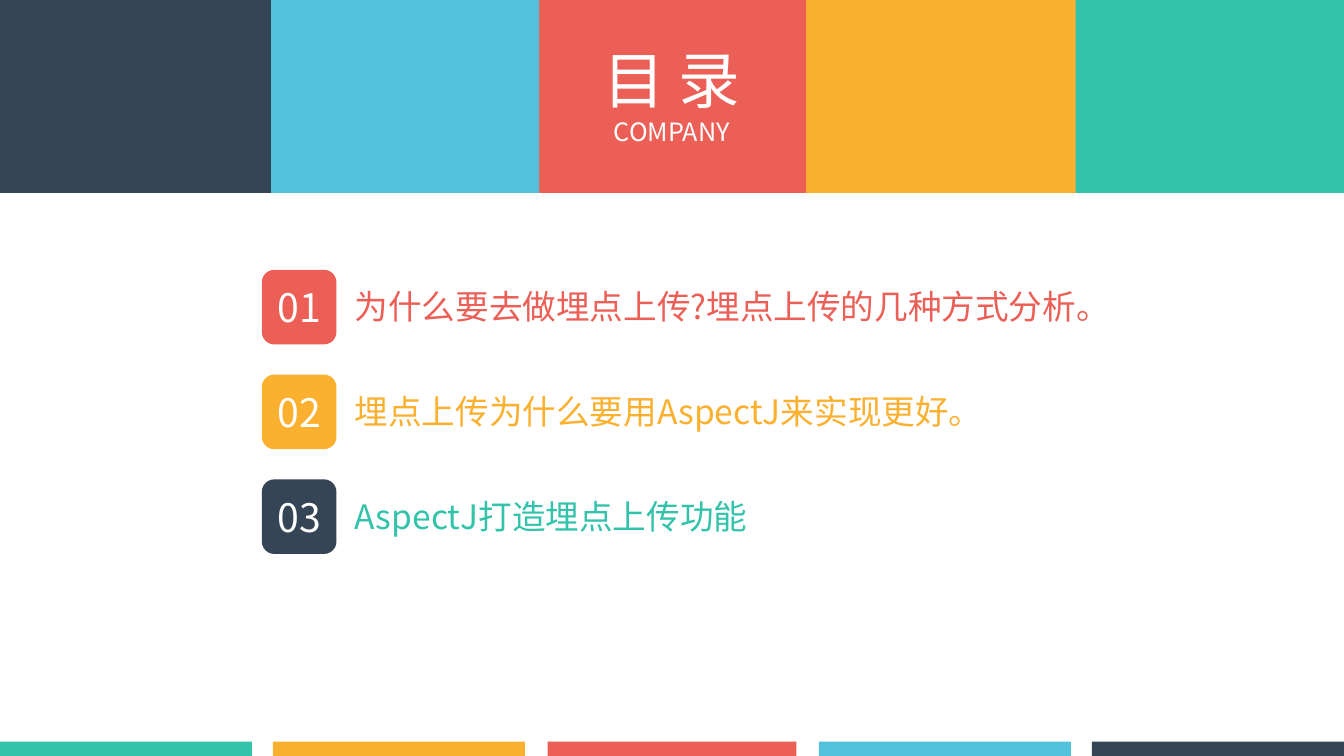
from dataclasses import dataclass

from lxml import etree
from pptx import Presentation
from pptx.dml.color import RGBColor
from pptx.enum.shapes import MSO_SHAPE
from pptx.enum.text import MSO_ANCHOR, PP_ALIGN
from pptx.oxml.ns import qn
from pptx.util import Cm, Pt

RECT, ROUNDED = MSO_SHAPE.RECTANGLE, MSO_SHAPE.ROUNDED_RECTANGLE
LEFT, CENTER = PP_ALIGN.LEFT, PP_ALIGN.CENTER
TOP, MIDDLE = MSO_ANCHOR.TOP, MSO_ANCHOR.MIDDLE


@dataclass(frozen=True)
class Theme:
    font: str = "Noto Sans CJK SC"
    white: str = "FFFFFF"
    navy: str = "364555"
    blue: str = "52C2DC"
    red: str = "EB5F56"
    amber: str = "FCB030"
    green: str = "33C3AB"
    title: int = 44
    subtitle: int = 18
    number: int = 28
    entry: int = 24


class SlideBuilder:
    def __init__(self, slide, theme):
        self.slide, self.theme = slide, theme

    def block(self, kind, left, top, width, height, color):
        block = self.slide.shapes.add_shape(
            kind, Cm(left), Cm(top), Cm(width), Cm(height))
        block.shadow.inherit = False
        block.fill.solid()
        block.fill.fore_color.rgb = RGBColor.from_string(color)
        block.line.fill.background()
        return block

    def set_text(self, frame, lines, color, align=LEFT, anchor=TOP, wrap=True):
        """Fill a text frame with (text, size) lines."""
        for name, value in {"word_wrap": wrap, "vertical_anchor": anchor}.items():
            setattr(frame, name, value)
        for index, (text, size) in enumerate(lines):
            paragraph = frame.add_paragraph() if index else frame.paragraphs[0]
            paragraph.alignment = align
            run = paragraph.add_run()
            run.text = text
            for name, value in {"size": Pt(size), "name": self.theme.font}.items():
                setattr(run.font, name, value)
            run.font.color.rgb = RGBColor.from_string(color)
            east_asian = etree.SubElement(run.font._element, qn("a:ea"))
            east_asian.set("typeface", self.theme.font)

    def text(self, left, top, width, height, lines, color, **layout):
        box = self.slide.shapes.add_textbox(
            Cm(left), Cm(top), Cm(width), Cm(height))
        self.set_text(box.text_frame, lines, color, **layout)

    def band(self, top, height, width, middle_width, colors):
        """Spread blocks edge to edge, with a narrower one in the middle."""
        last = len(colors) - 1
        pitch = (SLIDE_WIDTH - width) / last
        for index in range(last, -1, -1):  # each block overlaps the one to its right
            actual = middle_width if index == last / 2 else width
            left = index * pitch + (width - actual) / 2
            self.block(RECT, left, top, actual, height, colors[index])

    def entry(self, top, number, title, width, badge_color, title_color):
        badge = self.block(ROUNDED, 6.6, top, 1.88, 1.88, badge_color)
        self.set_text(badge.text_frame, [(number, self.theme.number)],
                      self.theme.white, align=CENTER, anchor=MIDDLE)
        self.text(8.69, top + 0.28, width, 1.27,
                  [(title, self.theme.entry)], title_color)


SLIDE_WIDTH, SLIDE_HEIGHT = 33.87, 19.05
theme = Theme()
presentation = Presentation()
presentation.slide_width, presentation.slide_height = Cm(SLIDE_WIDTH), Cm(SLIDE_HEIGHT)
contents = SlideBuilder(
    presentation.slides.add_slide(presentation.slide_layouts[6]), theme)

# Header band and title
palette = [theme.navy, theme.blue, theme.red, theme.amber, theme.green]
contents.band(0, 4.86, 6.83, 6.76, palette)
contents.text(14.86, 0.94, 4.14, 3,
              [("目 录", theme.title), ("COMPANY", theme.subtitle)],
              theme.white, align=CENTER, wrap=False)

# Footer band, colours reversed
footer_height = 0.36
contents.band(SLIDE_HEIGHT - footer_height, footer_height, 6.35, 6.27, palette[::-1])

# Contents entries
entries = [
    ("为什么要去做埋点上传?埋点上传的几种方式分析。", 19.02, theme.red, theme.red),
    ("埋点上传为什么要用AspectJ来实现更好。", 17.48, theme.amber, theme.amber),
    ("AspectJ打造埋点上传功能", 17.48, theme.navy, theme.green),
]
for index, entry in enumerate(entries):
    contents.entry(6.8 + index * 2.64, f"{index + 1:02}", *entry)

presentation.save("out.pptx")
